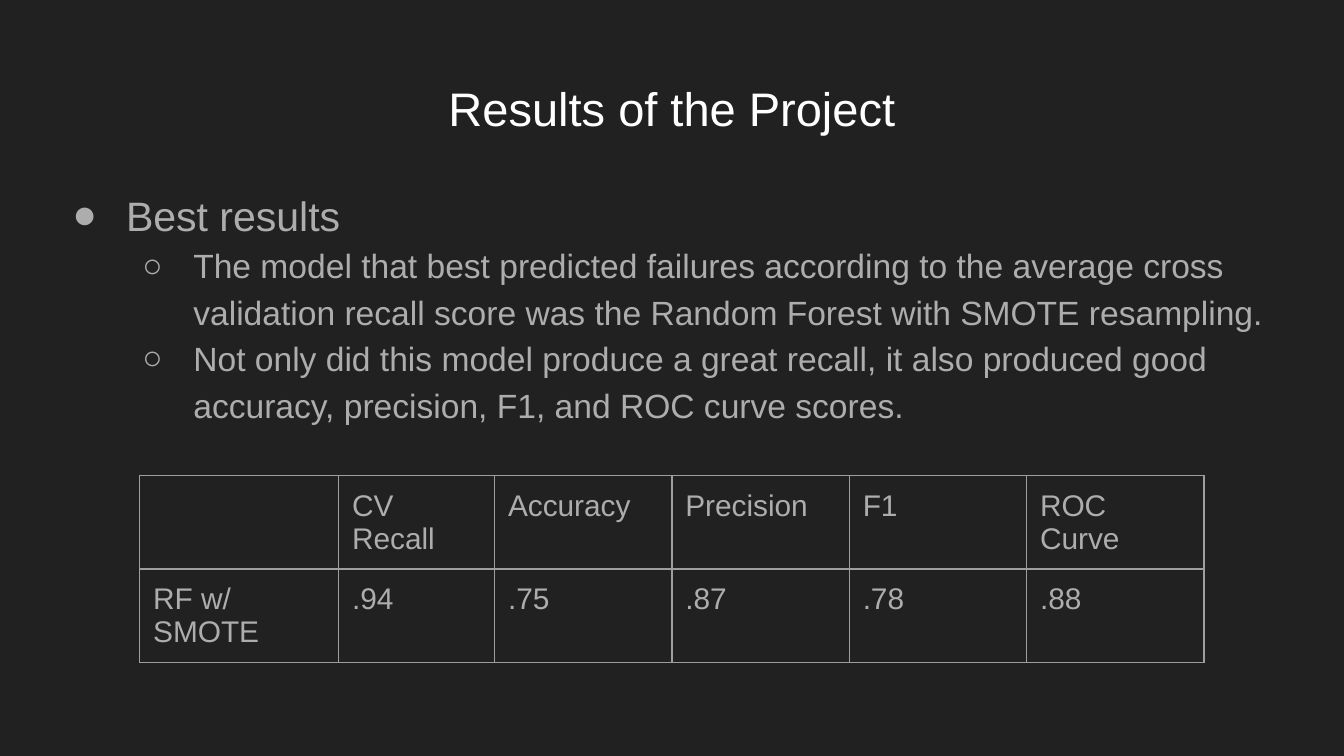
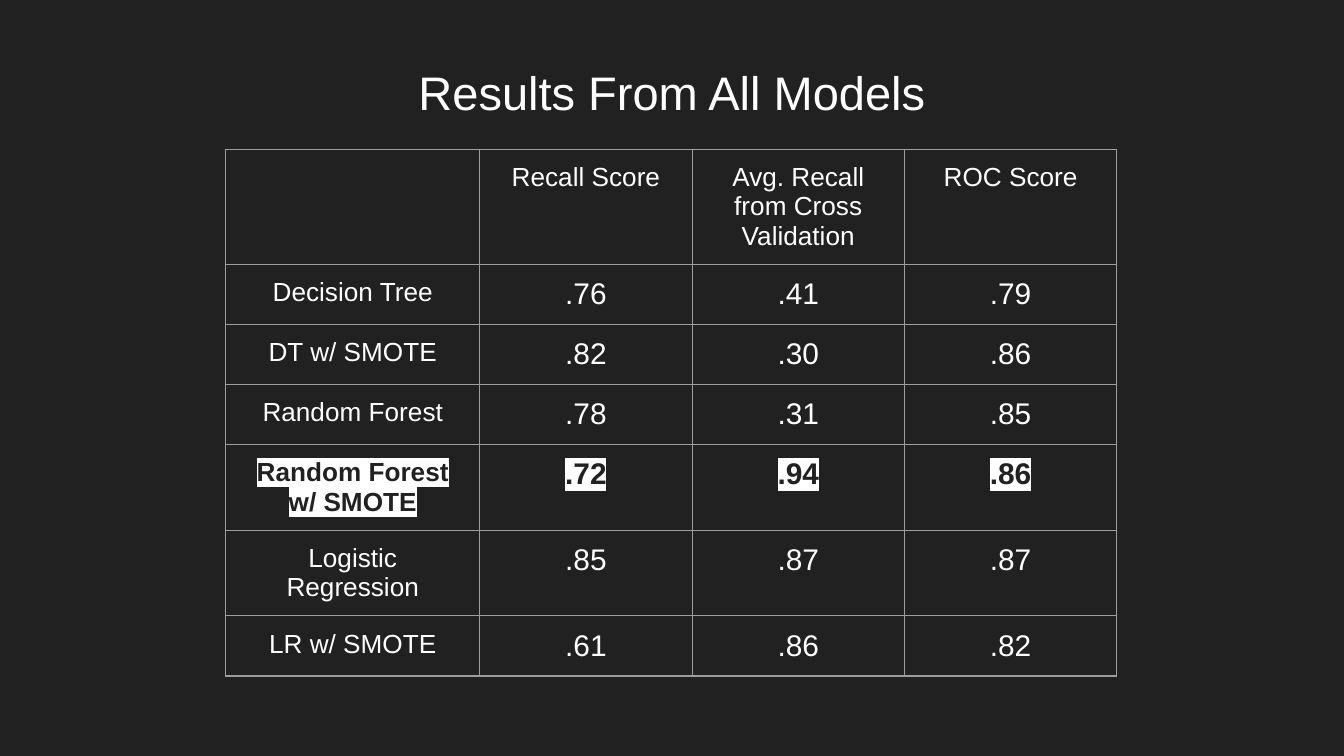
"""Build two dark slides that report model scores."""
from dataclasses import dataclass

from lxml import etree
from pptx import Presentation
from pptx import util as u
from pptx.dml.color import RGBColor
from pptx.enum import text as t
from pptx.oxml import ns

PX = 9144
DARK = RGBColor(0x21, 0x21, 0x21)
WHITE = RGBColor(0xFF, 0xFF, 0xFF)
GREY = RGBColor(0xAD, 0xAD, 0xAD)
RULE = RGBColor(0x9E, 0x9E, 0x9E)
FONT = "Arial"
PAD = 10
ROW = 42


@dataclass(frozen=True)
class Style:
    size: float
    color: RGBColor
    bold: bool = False
    mark: RGBColor | None = None


@dataclass(frozen=True)
class Bullet:
    text: str
    level: int
    size: int
    sign: str
    left: int
    hang: int


@dataclass(frozen=True)
class Grid:
    left: int
    top: int
    cols: list[int]
    rows: list[list[str]]
    label: Style
    value: Style
    align: t.PP_ALIGN
    best: int | None = None


TITLE = Style(25.2, WHITE)
CELL = Style(16, GREY)

POINTS = [
    Bullet("Best results", 0, 22, "●", 50, 40),
    Bullet("The model that best predicted failures according to the average "
           "cross validation recall score was the Random Forest with SMOTE "
           "resampling.", 1, 18, "○", 100, 38),
    Bullet("Not only did this model produce a great recall, it also produced "
           "good accuracy, precision, F1, and ROC curve scores.",
           1, 18, "○", 100, 38),
]

BEST = Grid(104, 354, [148, 116] + [132] * 4, [
    ["", "CV Recall", "Accuracy", "Precision", "F1", "ROC Curve"],
    ["RF w/ SMOTE", ".94", ".75", ".87", ".78", ".88"],
], CELL, CELL, t.PP_ALIGN.LEFT)

MODELS = Grid(168, 111, [189] + [158] * 3, [
    ["", "Recall Score", "Avg. Recall from Cross Validation", "ROC Score"],
    ["Decision Tree", ".76", ".41", ".79"],
    ["DT w/ SMOTE", ".82", ".30", ".86"],
    ["Random Forest", ".78", ".31", ".85"],
    ["Random Forest w/ SMOTE", ".72", ".94", ".86"],
    ["Logistic Regression", ".85", ".87", ".87"],
    ["LR w/ SMOTE", ".61", ".86", ".82"],
], Style(14, WHITE), Style(16, WHITE), t.PP_ALIGN.CENTER, best=4)


def px(n: int) -> u.Emu:
    """Turn whole pixels into EMU."""
    return u.Emu(n * PX)


def node(parent, tag: str, **attrs: str):
    """Append a DrawingML element."""
    return etree.SubElement(parent, ns.qn("a:" + tag), attrs)


def write(para, words: str, style: Style) -> None:
    """Add one styled run to a paragraph."""
    run = para.add_run()
    run.text = words
    font = run.font
    font.size = u.Pt(style.size)
    font.bold = style.bold
    font.color.rgb = style.color
    if style.mark is not None:
        node(node(run._r.rPr, "highlight"), "srgbClr", val=str(style.mark))
    font.name = FONT


def pad(item) -> None:
    """Give a text frame or a cell equal margins."""
    for side in ("left", "top", "right", "bottom"):
        setattr(item, f"margin_{side}", px(PAD))


def frame(shape):
    """Prepare the text frame of a shape."""
    body = shape.text_frame
    body.word_wrap = True
    body.auto_size = t.MSO_AUTO_SIZE.NONE
    body.vertical_anchor = t.MSO_ANCHOR.TOP
    pad(body)
    return body


def start(prs, words: str, top: int):
    """Add a slide with a centred title."""
    slide = prs.slides.add_slide(prs.slide_layouts[5])
    title = slide.shapes.title
    title.left, title.top = px(34), px(top)
    title.width, title.height = px(932), px(63)
    para = frame(title).paragraphs[0]
    para.alignment = t.PP_ALIGN.CENTER
    write(para, words, TITLE)
    return slide


def listing(slide, points: list[Bullet]) -> None:
    """Add the bulleted body text."""
    box = slide.shapes.add_textbox(px(34), px(126), px(932), px(397))
    body = frame(box)
    for i, point in enumerate(points):
        para = body.add_paragraph() if i else body.paragraphs[0]
        para.level = point.level
        para.line_spacing = 1.15
        props = para._p.get_or_add_pPr()
        props.set("marL", str(px(point.left)))
        props.set("indent", str(-px(point.hang)))
        node(node(props, "buClr"), "srgbClr", val=str(GREY))
        node(props, "buFont", typeface=FONT)
        node(props, "buChar", char=point.sign)
        write(para, point.text, Style(point.size, GREY))


def border(cell) -> None:
    """Rule all four sides of a cell."""
    props = cell._tc.get_or_add_tcPr()
    for side in "LRTB":
        line = node(props, "ln" + side, w=str(u.Pt(0.75)))
        node(node(line, "solidFill"), "srgbClr", val=str(RULE))


def pick(grid: Grid, row: int, col: int) -> Style:
    """Choose the style of a cell."""
    base = grid.value if row and col else grid.label
    if row == grid.best:
        return Style(base.size, DARK, True, WHITE)
    return base


def draw(slide, grid: Grid) -> None:
    """Add a ruled table."""
    count = len(grid.rows)
    table = slide.shapes.add_table(
        count, len(grid.cols), px(grid.left), px(grid.top),
        px(sum(grid.cols)), px(ROW * count)).table
    table.first_row = table.horz_banding = False
    for col, width in zip(table.columns, grid.cols):
        col.width = px(width)
    for r, row in enumerate(grid.rows):
        for c, words in enumerate(row):
            cell = table.cell(r, c)
            pad(cell)
            border(cell)
            cell.fill.background()
            if words:
                para = cell.text_frame.paragraphs[0]
                para.alignment = grid.align
                write(para, words, pick(grid, r, c))


def main() -> None:
    """Build and save the deck."""
    prs = Presentation()
    prs.slide_width, prs.slide_height = px(1000), u.Inches(5.625)
    fill = prs.slide_master.background.fill
    fill.solid()
    fill.fore_color.rgb = DARK
    slide = start(prs, "Results of the Project", 49)
    listing(slide, POINTS)
    draw(slide, BEST)
    draw(start(prs, "Results From All Models", 37), MODELS)
    prs.save("out.pptx")


if __name__ == "__main__":
    main()
